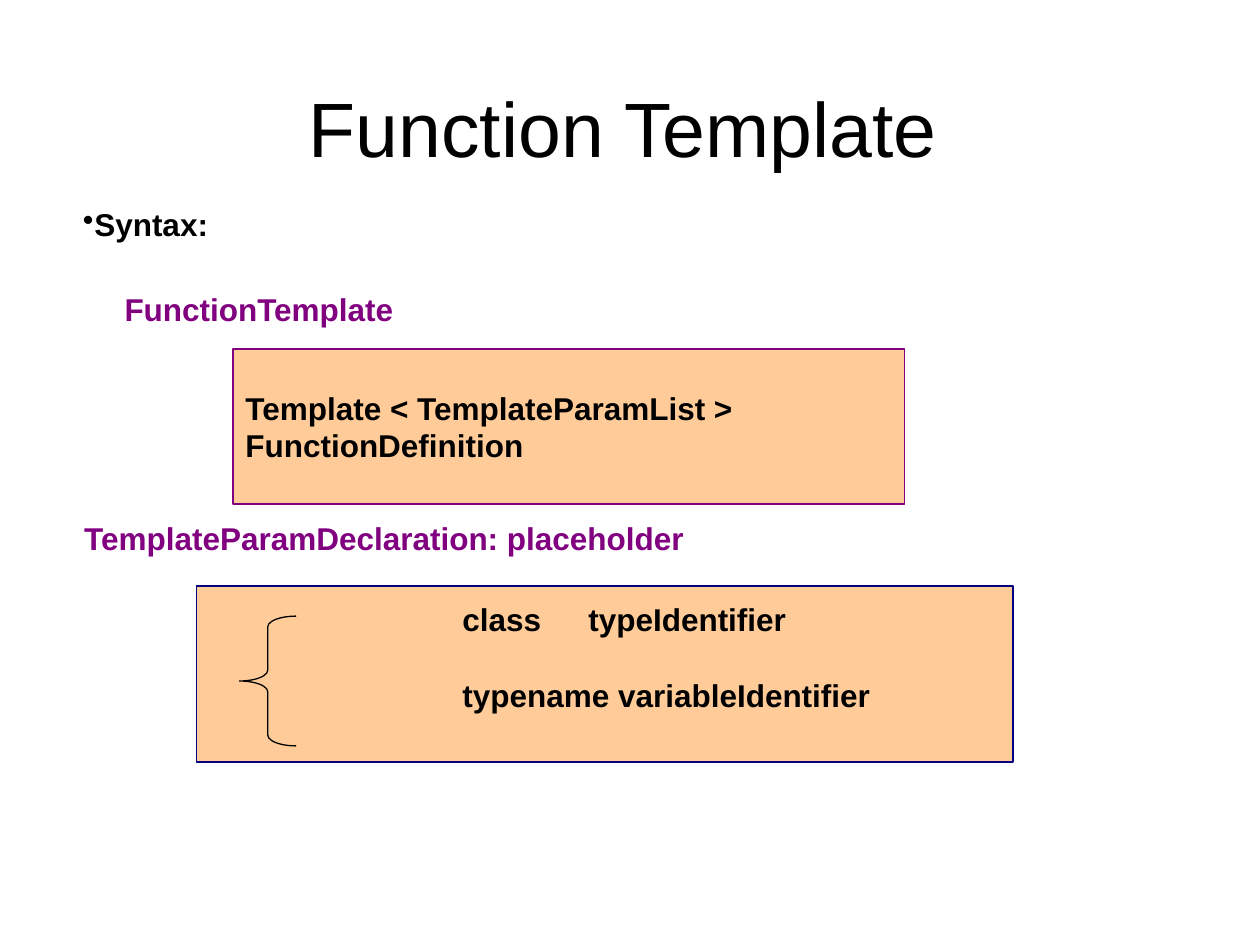
from dataclasses import dataclass

import pptx
import pptx.dml.color
import pptx.enum.shapes
import pptx.enum.text
import pptx.oxml
import pptx.oxml.ns
import pptx.util

Inches = pptx.util.Inches
Pt = pptx.util.Pt
Kind = pptx.enum.shapes.MSO_SHAPE
Anchor = pptx.enum.text.MSO_ANCHOR
Align = pptx.enum.text.PP_ALIGN
WIDE, HIGH = 10, 7.5


@dataclass(frozen=True)
class Theme:
    font: str = "Arial"
    head: int = 44
    body: int = 18
    ink: str = "000000"
    plum: str = "800080"
    navy: str = "000080"
    peach: str = "FFCC99"


THEME = Theme()


@dataclass(frozen=True)
class Area:
    """Left, top, width and height in percent of the slide."""
    x: float
    y: float
    w: float
    h: float

    def place(self) -> tuple:
        return (Inches(self.x * WIDE / 100), Inches(self.y * HIGH / 100),
                Inches(self.w * WIDE / 100), Inches(self.h * HIGH / 100))


@dataclass(frozen=True)
class Label:
    area: Area
    lines: tuple[str, ...]
    color: str = THEME.ink
    size: int = THEME.body
    bold: bool = True
    align: Align = Align.LEFT
    anchor: Anchor = Anchor.TOP
    left: float = 0.1
    top: float = 0.05
    gap: int = 0
    edge: str = ""
    bullet: bool = False


LABELS = (
    Label(Area(5.5, 2.27, 87.9, 16.67), ("Function Template",), size=THEME.head,
          bold=False, align=Align.CENTER, anchor=Anchor.BOTTOM),
    Label(Area(5.6, 21.07, 87.9, 14.8), ("Syntax:",), bullet=True),
    Label(Area(18.5, 36.93, 53.3, 16.4),
          ("Template < TemplateParamList >", "FunctionDefinition"),
          anchor=Anchor.MIDDLE, edge=THEME.plum),
    Label(Area(8.9, 30, 74.6, 6.67), ("FunctionTemplate",), THEME.plum),
    Label(Area(5.7, 54.27, 68.5, 6.67),
          ("TemplateParamDeclaration: placeholder",), THEME.plum),
    Label(Area(15.6, 62, 64.8, 18.67),
          ("class\ttypeIdentifier", "typename variableIdentifier"),
          left=2.11, top=0.11, gap=22, edge=THEME.navy),
)
BRACE = Area(19, 65.2, 4.5, 13.73)


def rgb(code: str) -> pptx.dml.color.RGBColor:
    return pptx.dml.color.RGBColor.from_string(code)


def add_dot(para) -> None:
    props = para._p.get_or_add_pPr()
    props.set("marL", str(Inches(0.09)))
    props.set("indent", str(-Inches(0.09)))
    dot = pptx.oxml.parse_xml(f'<a:buChar {pptx.oxml.ns.nsdecls("a")} char="•"/>')
    props.append(dot)


def write(frame, label: Label) -> None:
    frame.word_wrap = True
    frame.vertical_anchor = label.anchor
    frame.margin_left, frame.margin_top = Inches(label.left), Inches(label.top)
    frame.margin_right, frame.margin_bottom = Inches(0.1), Inches(0.05)
    for row, line in enumerate(label.lines):
        para = frame.add_paragraph() if row else frame.paragraphs[0]
        para.alignment = label.align
        para.space_before = Pt(label.gap if row else 0)
        if label.bullet:
            add_dot(para)
        run = para.add_run()
        run.text = line
        font = run.font
        font.name, font.size, font.bold = THEME.font, Pt(label.size), label.bold
        font.color.rgb = rgb(label.color)


def add_form(slide, kind: Kind, area: Area, edge: str, width: float):
    form = slide.shapes.add_shape(kind, *area.place())
    form.shadow.inherit = False
    form.line.color.rgb = rgb(edge)
    form.line.width = Pt(width)
    return form


def add_label(slide, label: Label) -> None:
    if label.edge:
        form = add_form(slide, Kind.RECTANGLE, label.area, label.edge, 1)
        form.fill.solid()
        form.fill.fore_color.rgb = rgb(THEME.peach)
    else:
        form = slide.shapes.add_textbox(*label.area.place())
    write(form.text_frame, label)


def main() -> None:
    deck = pptx.Presentation()
    deck.slide_width, deck.slide_height = Inches(WIDE), Inches(HIGH)
    slide = deck.slides.add_slide(deck.slide_layouts[6])
    for label in LABELS:
        add_label(slide, label)
    brace = add_form(slide, Kind.LEFT_BRACE, BRACE, THEME.ink, 0.75)
    brace.fill.background()
    brace.adjustments[0] = 0.19
    brace.adjustments[1] = 0.5
    deck.save("out.pptx")


if __name__ == "__main__":
    main()
